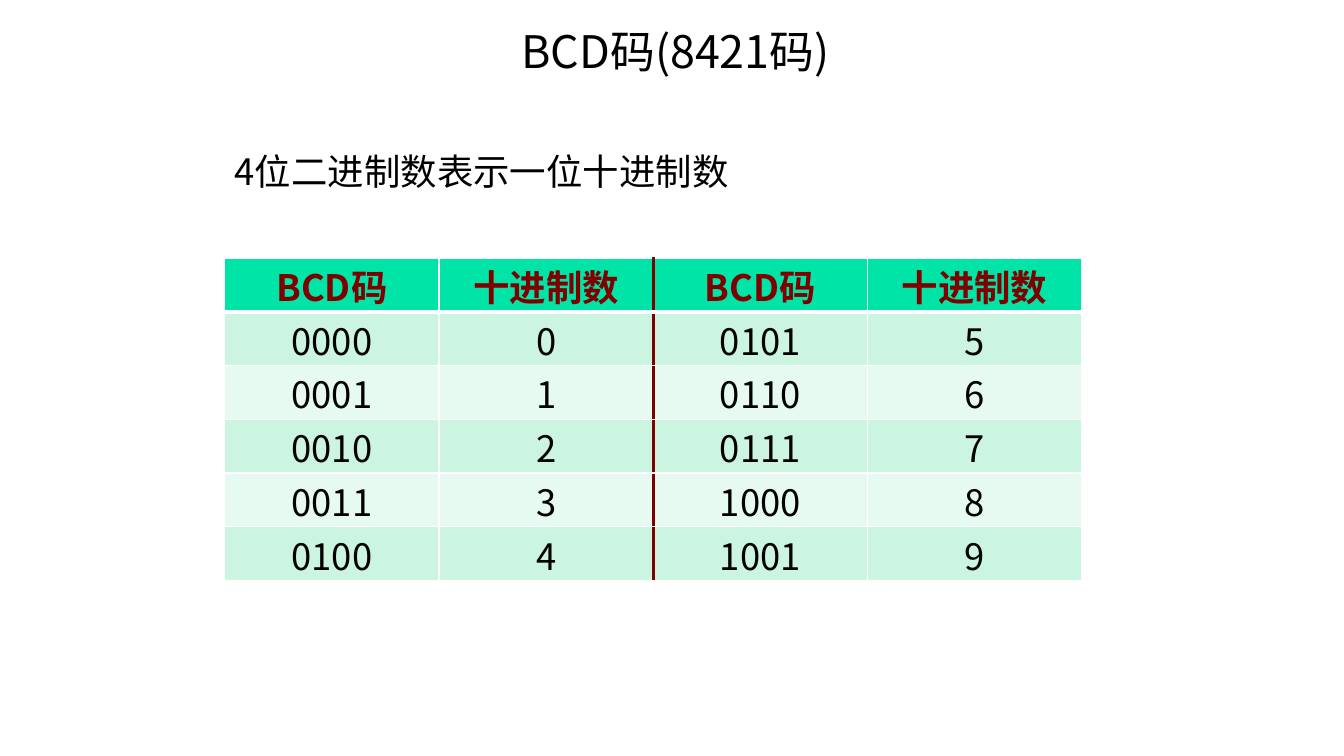
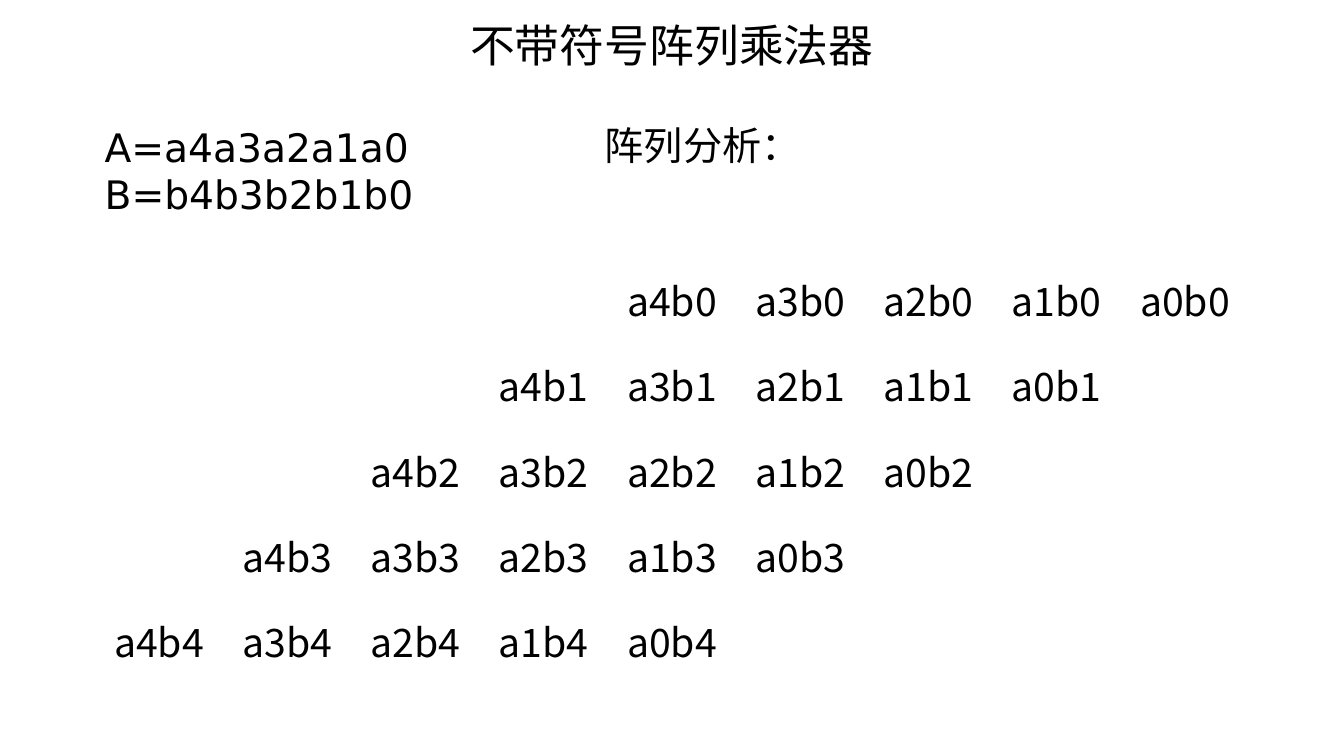
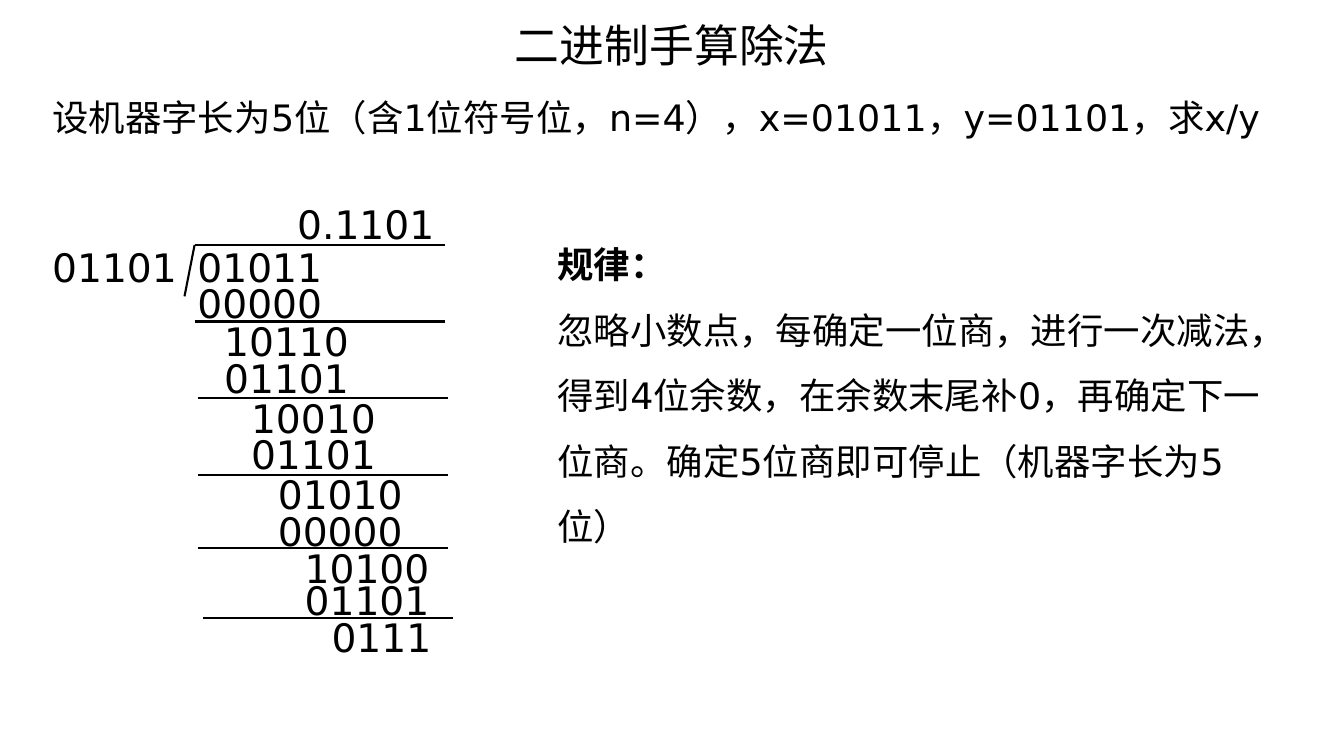
"""Builds three slides on binary codes, array multiplication and long division."""
from lxml import etree
from pptx import Presentation
from pptx.dml.color import RGBColor
from pptx.enum.shapes import MSO_CONNECTOR
from pptx.enum.text import MSO_ANCHOR, MSO_AUTO_SIZE, PP_ALIGN
from pptx.oxml.ns import qn
from pptx.util import Inches, Pt

LINE = MSO_CONNECTOR.STRAIGHT
TOP, MID, LOW = MSO_ANCHOR.TOP, MSO_ANCHOR.MIDDLE, MSO_ANCHOR.BOTTOM
LEFT, MIDST = PP_ALIGN.LEFT, PP_ALIGN.CENTER
FIXED = MSO_AUTO_SIZE.NONE


class Theme:
    """Colours, fonts and type sizes."""
    ink, wine, white = "000000", "800000", "FFFFFF"
    head, bands = "00E4A8", ("CCF5E1", "E7FAF1")
    sans, cjk = "DejaVu Sans", "Noto Sans CJK SC"
    title, large, body = 32, 28, 26
    rule = 1.5


WIDE, HIGH = 13.33, 7.5

CODES = {
    "title": "BCD码(8421码)",
    "lead": "4位二进制数表示一位十进制数",
    "head": ["BCD码", "十进制数"] * 2,
    "half": 5,
}
ARRAY = {
    "title": "不带符号阵列乘法器",
    "terms": ["A=a4a3a2a1a0", "B=b4b3b2b1b0"],
    "label": "阵列分析：",
    "bits": 5,
}
DIVIDE = {
    "title": "二进制手算除法",
    "task": "设机器字长为5位（含1位符号位，n=4），x=01011，y=01101，求x/y",
    "law": "规律：",
    "note": "忽略小数点，每确定一位商，进行一次减法，得到4位余数，在余数末尾补0，"
            "再确定下一位商。确定5位商即可停止（机器字长为5位）",
    "quot": "0.1101",
    "by": "01101",
    "steps": [
        ("01011", 2.36, "00000", 2.72),
        ("10110", 3.10, "01101", 3.47),
        ("10010", 3.86, "01101", 4.22),
        ("01010", 4.62, "00000", 4.98),
        ("10100", 5.35, "01101", 5.67),
    ],
    "rest": ("0111", 6.04),
    "rules": [1.93, 1.96, 1.96, 1.96, 2.01],
}


def rgb(code):
    """Turn a hex code into a colour."""
    return RGBColor.from_string(code)


def write(frame, lines, size, font, align=LEFT, color=Theme.ink, bold=(), space=None):
    """Fill a text frame, one run for each line."""
    for i, line in enumerate(lines):
        para = frame.paragraphs[0] if i == 0 else frame.add_paragraph()
        para.alignment = align
        if space:
            para.line_spacing = space
        run = para.add_run()
        run.text = line
        run.font.size = Pt(size)
        run.font.bold = i in bold
        run.font.color.rgb = rgb(color)
        run.font.name = font
        east = etree.SubElement(run.font._element, qn("a:ea"))
        east.set("typeface", font)


def setup(frame, anchor):
    """Fix the size, wrap and anchor of a text frame."""
    frame.word_wrap = True
    frame.auto_size = FIXED
    frame.vertical_anchor = anchor
    if anchor == MID:
        frame.margin_top = frame.margin_bottom = 0


def label(slide, at, lines, size, font=Theme.sans, anchor=TOP, **look):
    """Add a text box."""
    box = slide.shapes.add_textbox(*map(Inches, at))
    setup(box.text_frame, anchor)
    write(box.text_frame, lines, size, font, **look)


def start(deck, text, mid=WIDE / 2, top=0.12):
    """Add a slide with its title."""
    slide = deck.slides.add_slide(deck.slide_layouts[5])
    head = slide.shapes.title
    wide = 6
    head.left, head.top = Inches(mid - wide / 2), Inches(top)
    head.width, head.height = Inches(wide), Inches(0.64)
    setup(head.text_frame, MID)
    write(head.text_frame, [text], Theme.title, Theme.cjk, MIDST)
    return slide


def grid(slide, at, rows, cols):
    """Add a plain table with equal rows and columns."""
    table = slide.shapes.add_table(rows, cols, *map(Inches, at)).table
    table.first_row = table.horz_banding = False
    for col in table.columns:
        col.width = Inches(at[2] / cols)
    for row in table.rows:
        row.height = Inches(at[3] / rows)
    return table


def edge(cell, side, color, width):
    """Draw one border of a cell."""
    line = etree.SubElement(cell._tc.get_or_add_tcPr(), qn("a:ln" + side))
    line.set("w", str(Pt(width)))
    fill = etree.SubElement(line, qn("a:solidFill"))
    etree.SubElement(fill, qn("a:srgbClr")).set("val", color)


def stroke(slide, *ends):
    """Draw a straight rule."""
    line = slide.shapes.add_connector(LINE, *map(Inches, ends))
    line.line.color.rgb = rgb(Theme.ink)
    line.line.width = Pt(Theme.rule)
    etree.SubElement(line._element.spPr, qn("a:effectLst"))


def codes(deck):
    """Build the code table."""
    slide = start(deck, CODES["title"], 6.7, 0.18)
    left, wide, half = 2.23, 8.5, CODES["half"]
    label(slide, (left, 1.42, wide, 0.55), [CODES["lead"]],
          Theme.body, Theme.cjk, MID)
    rows = [CODES["head"]]
    for n in range(half):
        rows.append([t for v in (n, n + half) for t in (f"{v:04b}", str(v))])
    table = grid(slide, (left, 2.56, wide, 3.2), len(rows), 4)
    thin, thick = (Theme.white, 1), (Theme.white, 3)
    split = (Theme.wine, 2.25)
    for r, row in enumerate(rows):
        for c, text in enumerate(row):
            cell = table.cell(r, c)
            edge(cell, "L", *(split if c == 2 else thin))
            edge(cell, "R", *(split if c == 1 else thin))
            edge(cell, "T", *(thick if r == 1 else thin))
            edge(cell, "B", *(thick if r == 0 else thin))
            cell.fill.solid()
            cell.fill.fore_color.rgb = rgb(Theme.bands[(r - 1) % 2] if r else Theme.head)
            cell.margin_top = cell.margin_bottom = 0
            cell.vertical_anchor = LOW
            write(cell.text_frame, [text], Theme.body, Theme.cjk, MIDST,
                  Theme.ink if r else Theme.wine, () if r else (0,))


def array(deck):
    """Build the grid of partial products."""
    slide = start(deck, ARRAY["title"])
    left, bits = 0.94, ARRAY["bits"]
    cols = 2 * bits - 1
    table = grid(slide, (left, 2.55, 11.45, 4.23), bits, cols)
    for r in range(bits):
        for c in range(cols):
            cell = table.cell(r, c)
            cell.fill.background()
            a = cols - 1 - r - c
            if 0 <= a < bits:
                cell.vertical_anchor = MID
                write(cell.text_frame, [f"a{a}b{r}"], Theme.large, Theme.cjk, MIDST)
    label(slide, (left, 1.17, 4.5, 1.04), ARRAY["terms"], Theme.large)
    label(slide, (5.9, 1.17, 2.4, 0.54), [ARRAY["label"]],
          Theme.large, Theme.cjk, MID)


def divide(deck):
    """Build the long division."""
    slide = start(deck, DIVIDE["title"])
    edge_x, left, size = 0.42, 1.86, (1.8, 0.57)
    first, shift, length = 2.36, 1.33 / 5, 2.48
    label(slide, (edge_x, 0.89, 12.57, 0.98), [DIVIDE["task"]], Theme.body)
    label(slide, (5.43, 2.14, 7.49, 3.4), [DIVIDE["law"], DIVIDE["note"]],
          Theme.body, bold=(0,), space=1.5)
    label(slide, (edge_x, first, *size), [DIVIDE["by"]], Theme.large)
    label(slide, (left + 0.99, 1.94, *size), [DIVIDE["quot"]], Theme.large)
    rest, last = DIVIDE["rest"]
    tops = [step[1] for step in DIVIDE["steps"][1:]] + [last]
    for i, (num, top, sub, under) in enumerate(DIVIDE["steps"]):
        x = left + i * shift
        label(slide, (x, top, *size), [num], Theme.large)
        label(slide, (x, under, *size), [sub], Theme.large)
        rule, y = DIVIDE["rules"][i], tops[i] + 0.09
        stroke(slide, rule, y, rule + length, y)
    label(slide, (left + 5 * shift, last, *size), [rest], Theme.large)
    bar, roof = DIVIDE["rules"][0], 2.43
    stroke(slide, bar, roof, bar + length, roof)
    stroke(slide, bar - 0.1, roof + 0.51, bar, roof)


def main():
    """Build and save the deck."""
    deck = Presentation()
    deck.slide_width, deck.slide_height = Inches(WIDE), Inches(HIGH)
    for build in (codes, array, divide):
        build(deck)
    deck.save("out.pptx")


if __name__ == "__main__":
    main()
